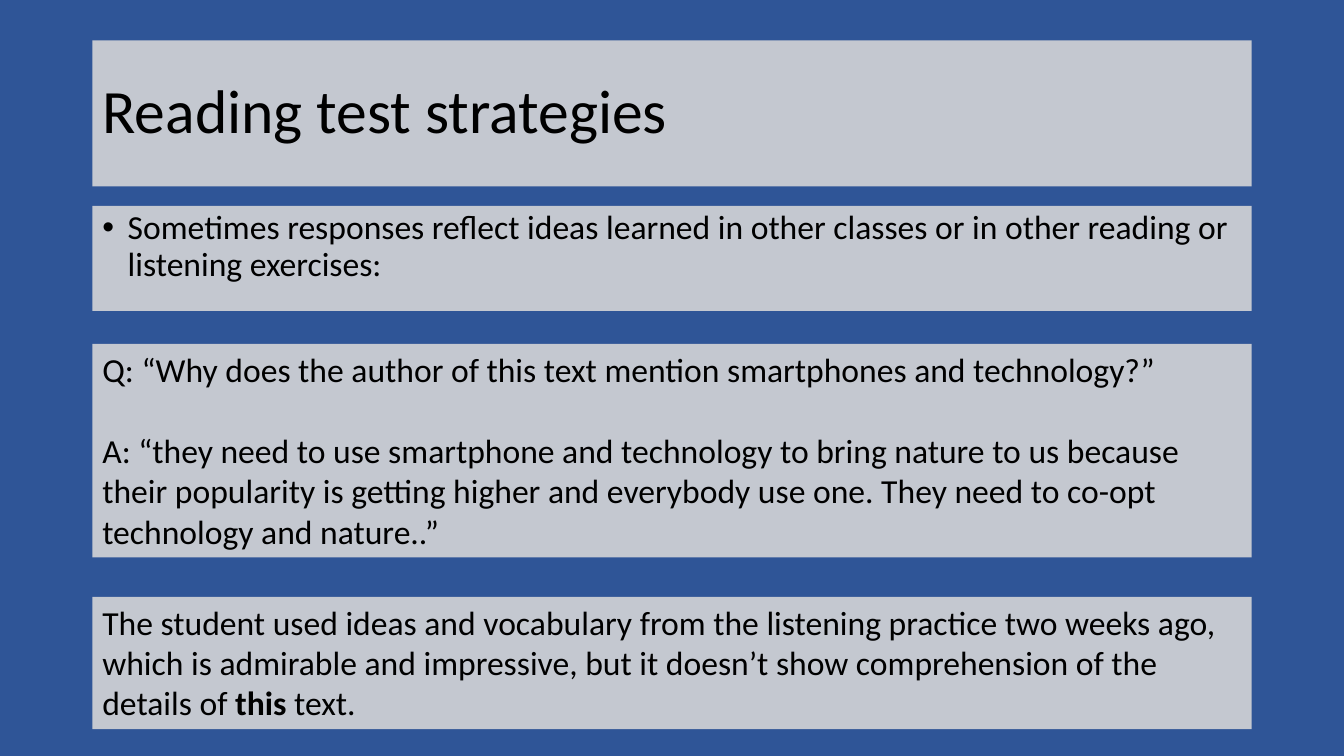
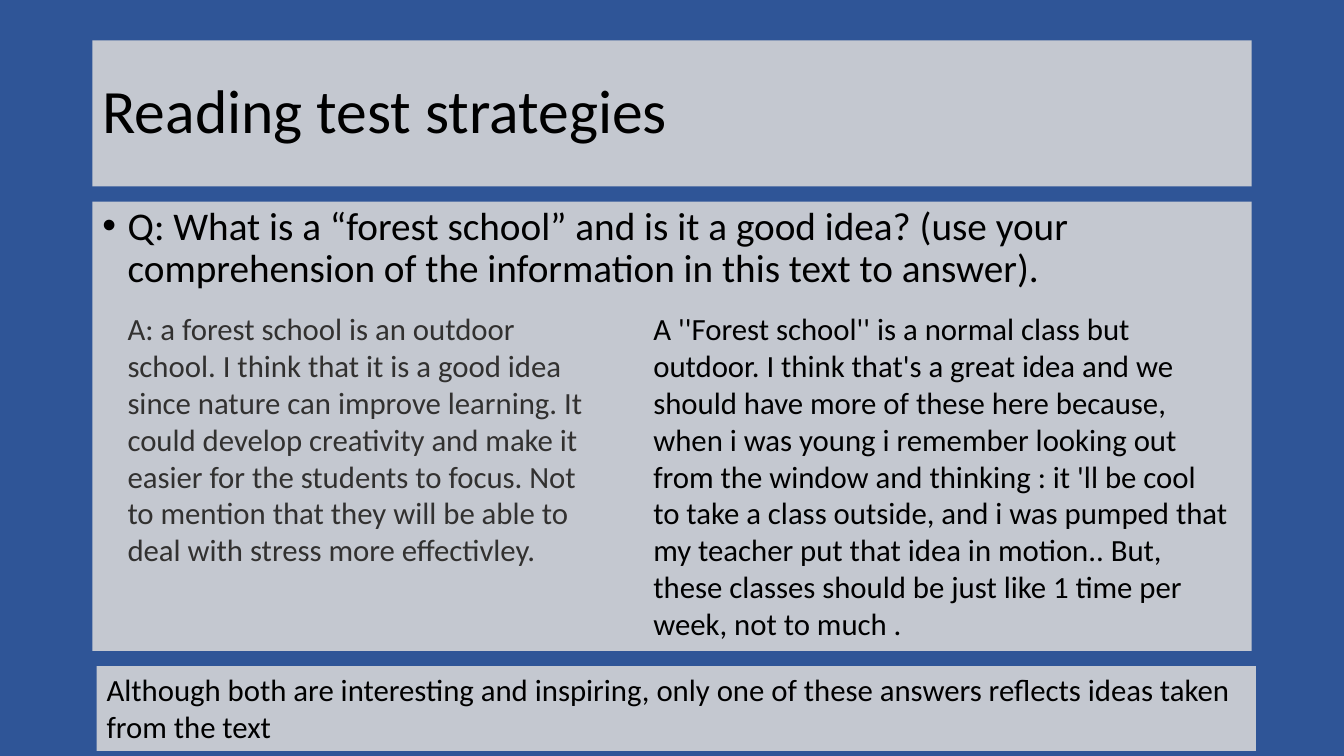
from dataclasses import dataclass
from typing import Optional

from lxml.etree import SubElement
from pptx import Presentation
from pptx.dml.color import RGBColor
from pptx.enum.shapes import MSO_SHAPE
from pptx.enum.text import MSO_ANCHOR, MSO_AUTO_SIZE, PP_ALIGN
from pptx.oxml.ns import qn
from pptx.util import Inches, Pt

# Shared look
BLUE, GREY, BLACK, CHARCOAL = "2F5597", "D9D9D9", "000000", "323130"
FONT = "Calibri"
PANEL_OPACITY = 88
LINE_HEIGHT = 1.22

# Grid of 160 columns by 90 rows
WIDTH, HEIGHT = Inches(13.33), Inches(7.5)
COLUMN, ROW = WIDTH / 160, HEIGHT / 90
MARGIN, CONTENT = 11, 138


@dataclass(frozen=True)
class Span:
    text: str
    bold: bool = False


@dataclass(frozen=True)
class Block:
    paragraphs: list[list[Span]]
    row: float
    rows: float
    size: int
    column: float = MARGIN
    columns: float = CONTENT
    color: str = BLACK
    filled: bool = True
    placeholder: Optional[int] = None
    bullet: bool = False


def rgb(code: str) -> RGBColor:
    return RGBColor.from_string(code)


def plain(*texts: str) -> list[list[Span]]:
    return [[Span(text)] for text in texts]


def fill_panel(box) -> None:
    """Give a box the translucent grey of every panel."""
    box.fill.solid()
    box.fill.fore_color.rgb = rgb(GREY)
    color = box.element.spPr.find(qn("a:solidFill")).find(qn("a:srgbClr"))
    SubElement(color, qn("a:alpha")).set("val", str(PANEL_OPACITY * 1000))
    box.line.fill.background()
    box.shadow.inherit = False


def add_bullet(para) -> None:
    properties = para._p.get_or_add_pPr()
    indent = Inches(0.25)
    properties.set("marL", str(indent))
    properties.set("indent", str(-indent))
    SubElement(properties, qn("a:buFont")).set("typeface", "Arial")
    SubElement(properties, qn("a:buChar")).set("char", "•")


def write_text(box, block: Block) -> None:
    frame = box.text_frame
    frame.word_wrap = True
    frame.auto_size = MSO_AUTO_SIZE.NONE
    is_title = block.placeholder == 0
    frame.vertical_anchor = MSO_ANCHOR.MIDDLE if is_title else MSO_ANCHOR.TOP
    for index, spans in enumerate(block.paragraphs):
        para = frame.paragraphs[0] if index == 0 else frame.add_paragraph()
        para.alignment = PP_ALIGN.LEFT
        para.line_spacing = 1.0 if block.placeholder is None else 0.9
        # Later paragraphs stand one line apart
        para.space_before = Pt(round(block.size * LINE_HEIGHT) if index else 0)
        if block.bullet:
            add_bullet(para)
        for span in spans:
            run = para.add_run()
            run.text = span.text
            run.font.name = FONT
            run.font.size = Pt(block.size)
            run.font.bold = span.bold
            run.font.color.rgb = rgb(block.color)


def draw_block(page, block: Block) -> None:
    place = (round(block.column * COLUMN), round(block.row * ROW),
             round(block.columns * COLUMN), round(block.rows * ROW))
    if block.placeholder is not None:
        box = page.placeholders[block.placeholder]
        box.left, box.top, box.width, box.height = place
    elif block.filled:
        box = page.shapes.add_shape(MSO_SHAPE.RECTANGLE, *place)
    else:
        box = page.shapes.add_textbox(*place)
    if block.filled:
        fill_panel(box)
    write_text(box, block)


TITLE = Block(plain("Reading test strategies"), 4.8, 17.4, 44, placeholder=0)

# Slide 1: an answer drawn from another class
BORROWED_IDEAS = [
    Block(plain("Sometimes responses reflect ideas learned in other classes or in "
                "other reading or listening exercises:"),
          24.5, 12.5, 24, placeholder=1, bullet=True),
    Block(plain("Q: “Why does the author of this text mention smartphones and technology?”",
                "A: “they need to use smartphone and technology to bring nature to us "
                "because their popularity is getting higher and everybody use one. "
                "They need to co-opt technology and nature..”"),
          40.95, 25.4, 24),
    Block([[Span("The student used ideas and vocabulary from the listening practice two "
                 "weeks ago, which is admirable and impressive, but it doesn’t show "
                 "comprehension of the details of "),
            Span("this", bold=True),
            Span(" text.")]],
          71.05, 15.75, 24),
]

# Slide 2: two answers side by side
COMPARED_ANSWERS = [
    Block(plain("Q: What is a “forest school” and is it a good idea? (use your "
                "comprehension of the information in this text to answer)."),
          24, 53.5, 28, placeholder=1, bullet=True),
    Block(plain("A: a forest school is an outdoor school. I think that it is a good idea "
                "since nature can improve learning. It could develop creativity and make "
                "it easier for the students to focus. Not to mention that they will be "
                "able to deal with stress more effectivley."),
          36.25, 32.3, 22, column=14, columns=59.4, color=CHARCOAL, filled=False),
    Block(plain("A ''Forest school'' is a normal class but outdoor. I think that's a great "
                "idea and we should have more of these here because, when i was young i "
                "remember looking out from the window and thinking : it 'll be cool to "
                "take a class outside, and i was pumped that my teacher put that idea in "
                "motion.. But, these classes should be just like 1 time per week, not to "
                "much ."),
          36.25, 41.2, 22, column=76.6, columns=70.8, filled=False),
    Block(plain("Although both are interesting and inspiring, only one of these answers "
                "reflects ideas taken from the text"),
          79.3, 10.1, 22, column=11.5),
]


def main() -> None:
    deck = Presentation()
    deck.slide_width, deck.slide_height = WIDTH, HEIGHT
    background = deck.slide_master.background.fill
    background.solid()
    background.fore_color.rgb = rgb(BLUE)
    for blocks in (BORROWED_IDEAS, COMPARED_ANSWERS):
        page = deck.slides.add_slide(deck.slide_layouts[1])
        for block in [TITLE, *blocks]:
            draw_block(page, block)
    deck.save("out.pptx")


if __name__ == "__main__":
    main()
